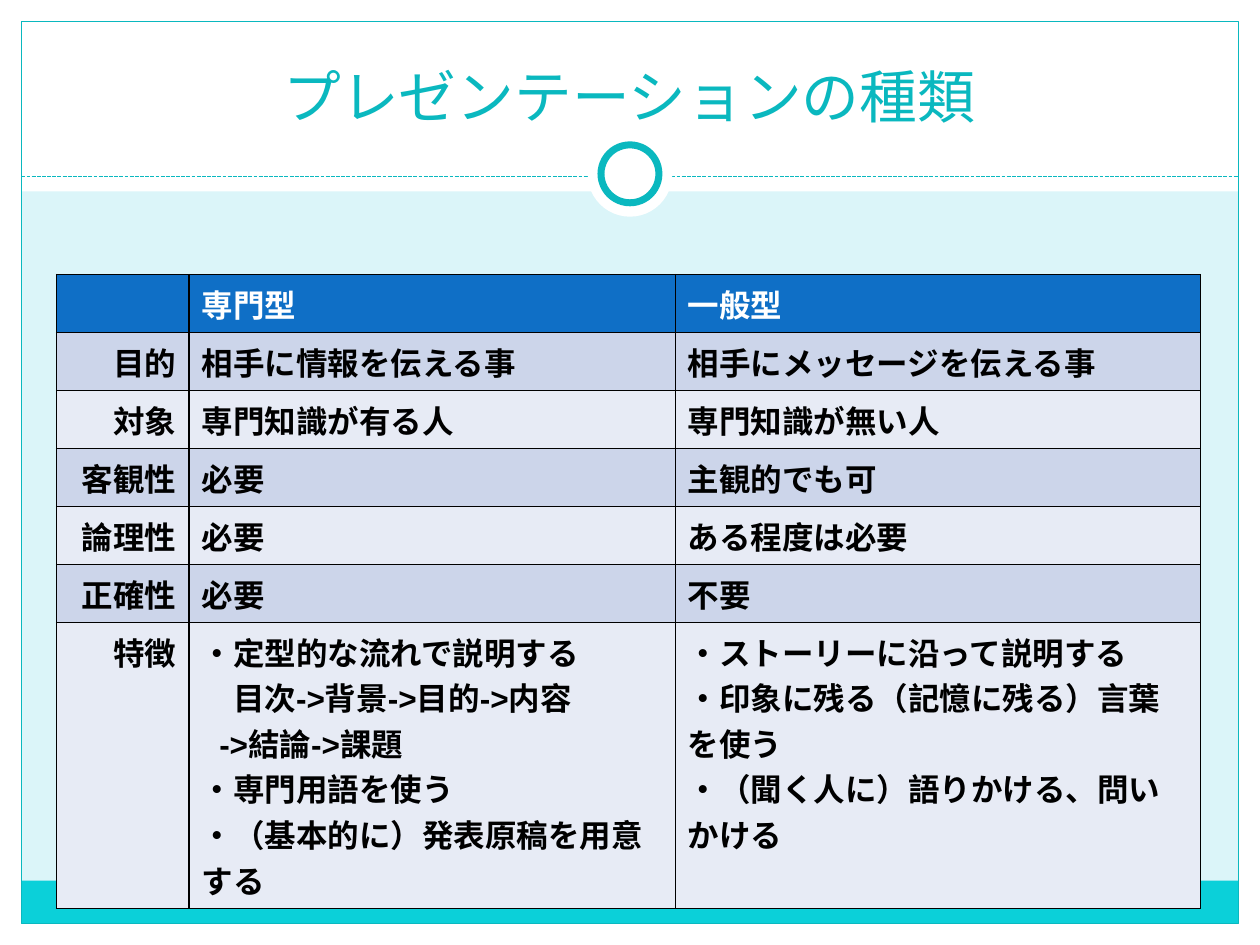
from lxml.etree import SubElement
from pptx import Presentation
from pptx.dml.color import RGBColor
from pptx.enum.dml import MSO_LINE
from pptx.enum.shapes import MSO_CONNECTOR, MSO_SHAPE
from pptx.enum.text import MSO_ANCHOR, PP_ALIGN
from pptx.oxml.ns import qn
from pptx.util import Inches, Pt

# Content: a paragraph is text, or (text, indent in inches)
TITLE = "プレゼンテーションの種類"
ROWS = [
    ("", "専門型", "一般型"),
    ("目的", "相手に情報を伝える事", "相手にメッセージを伝える事"),
    ("対象", "専門知識が有る人", "専門知識が無い人"),
    ("客観性", "必要", "主観的でも可"),
    ("論理性", "必要", "ある程度は必要"),
    ("正確性", "必要", "不要"),
    ("特徴",
     ["・定型的な流れで説明する", ("目次->背景->目的->内容", 0.25),
      ("->結論->課題", 0.14), "・専門用語を使う",
      "・（基本的に）発表原稿を用意する"],
     ["・ストーリーに沿って説明する",
      "・印象に残る（記憶に残る）言葉を使う",
      "・（聞く人に）語りかける、問いかける"]),
]

THEME = dict(back="DBF5F9", white="FFFFFF", black="000000", teal="0AB8BF",
             foot="0BD0D9", head="0F6FC6", odd="CCD5EA", even="E7EBF5",
             title=33, body=18, major="Cambria", minor="Arial")

# Layout in inches
WIDE, HIGH, EDGE = 10, 7.5, 0.17
BAND, RULE, FOOT = 1.52, 1.4, 0.34
MID = WIDE / 2
COLS = [1.05, 3.86, 4.17]
TALL = [0.46] * 6 + [2.27]


def color(name):
    return RGBColor.from_string(THEME[name])


def shape(kind, box, fill=None, line=None, width=0.75):
    item = slide.shapes.add_shape(kind, *map(Inches, box))
    item.shadow.inherit = False
    if fill:
        item.fill.solid()
        item.fill.fore_color.rgb = color(fill)
    else:
        item.fill.background()
    if line:
        item.line.color.rgb = color(line)
        item.line.width = Pt(width)
    else:
        item.line.fill.background()


def ring(size, top, **style):
    shape(MSO_SHAPE.OVAL, (MID - size / 2, top, size, size), "white", **style)


def style(para, size, face, tint, bold=False):
    font = para.font
    font.size, font.name, font.bold = Pt(THEME[size]), THEME[face], bold
    font.color.rgb = color(tint)


def border(cell):
    props = cell._tc.get_or_add_tcPr()
    for spot, side in enumerate(("lnL", "lnR", "lnT", "lnB")):
        line = props.makeelement(qn("a:" + side), {"w": str(Pt(1))})
        fill = SubElement(line, qn("a:solidFill"))
        SubElement(fill, qn("a:srgbClr"), val=THEME["black"])
        props.insert(spot, line)


deck = Presentation()
deck.slide_width, deck.slide_height = Inches(WIDE), Inches(HIGH)
slide = deck.slides.add_slide(deck.slide_layouts[6])
slide.background.fill.solid()
slide.background.fill.fore_color.rgb = color("back")

# White margins, foot band and frame
inner = WIDE - 2 * EDGE
for box in [(0, HIGH - EDGE, WIDE, EDGE), (0, 0, WIDE, BAND),
            (0, 0, EDGE, HIGH), (WIDE - EDGE, 0, EDGE, HIGH)]:
    shape(MSO_SHAPE.RECTANGLE, box, "white")
shape(MSO_SHAPE.RECTANGLE, (EDGE, HIGH - EDGE - FOOT, inner, FOOT), "foot")
shape(MSO_SHAPE.RECTANGLE, (EDGE, EDGE, inner, HIGH - 2 * EDGE), line="teal")

# Dashed rule and ring
rule = slide.shapes.add_connector(
    MSO_CONNECTOR.STRAIGHT,
    *map(Inches, (EDGE, RULE, WIDE - EDGE, RULE)))
rule.line.color.rgb = color("teal")
rule.line.width = Pt(0.75)
rule.line.dash_style = MSO_LINE.SQUARE_DOT
SubElement(rule._element.spPr, qn("a:effectLst"))
ring(0.67, 1.05)
ring(0.46, 1.15, line="teal", width=4)

# Title
frame = slide.shapes.add_textbox(
    *map(Inches, (0.33, 0.25, 9.33, 0.83))).text_frame
frame.word_wrap = True
frame.vertical_anchor = MSO_ANCHOR.BOTTOM
para = frame.paragraphs[0]
para.text, para.alignment = TITLE, PP_ALIGN.CENTER
style(para, "title", "major", "teal")

# Table
table = slide.shapes.add_table(
    len(ROWS), len(COLS),
    *map(Inches, (0.45, 2.18, sum(COLS), sum(TALL)))).table
for col, width in zip(table.columns, COLS):
    col.width = Inches(width)
for r, (row, height) in enumerate(zip(ROWS, TALL)):
    table.rows[r].height = Inches(height)
    shade = "head" if r == 0 else "odd" if r % 2 else "even"
    for c, value in enumerate(row):
        cell = table.cell(r, c)
        cell.fill.solid()
        cell.fill.fore_color.rgb = color(shade)
        border(cell)
        parts = value if isinstance(value, list) else [value]
        for n, part in enumerate(parts):
            text, indent = part if isinstance(part, tuple) else (part, 0)
            frame = cell.text_frame
            para = frame.add_paragraph() if n else frame.paragraphs[0]
            para.text = text
            para.alignment = PP_ALIGN.LEFT if c else PP_ALIGN.RIGHT
            style(para, "body", "minor", "black" if r else "white", True)
            if indent:
                para._p.get_or_add_pPr().set("marL", str(Inches(indent)))

deck.save("out.pptx")
